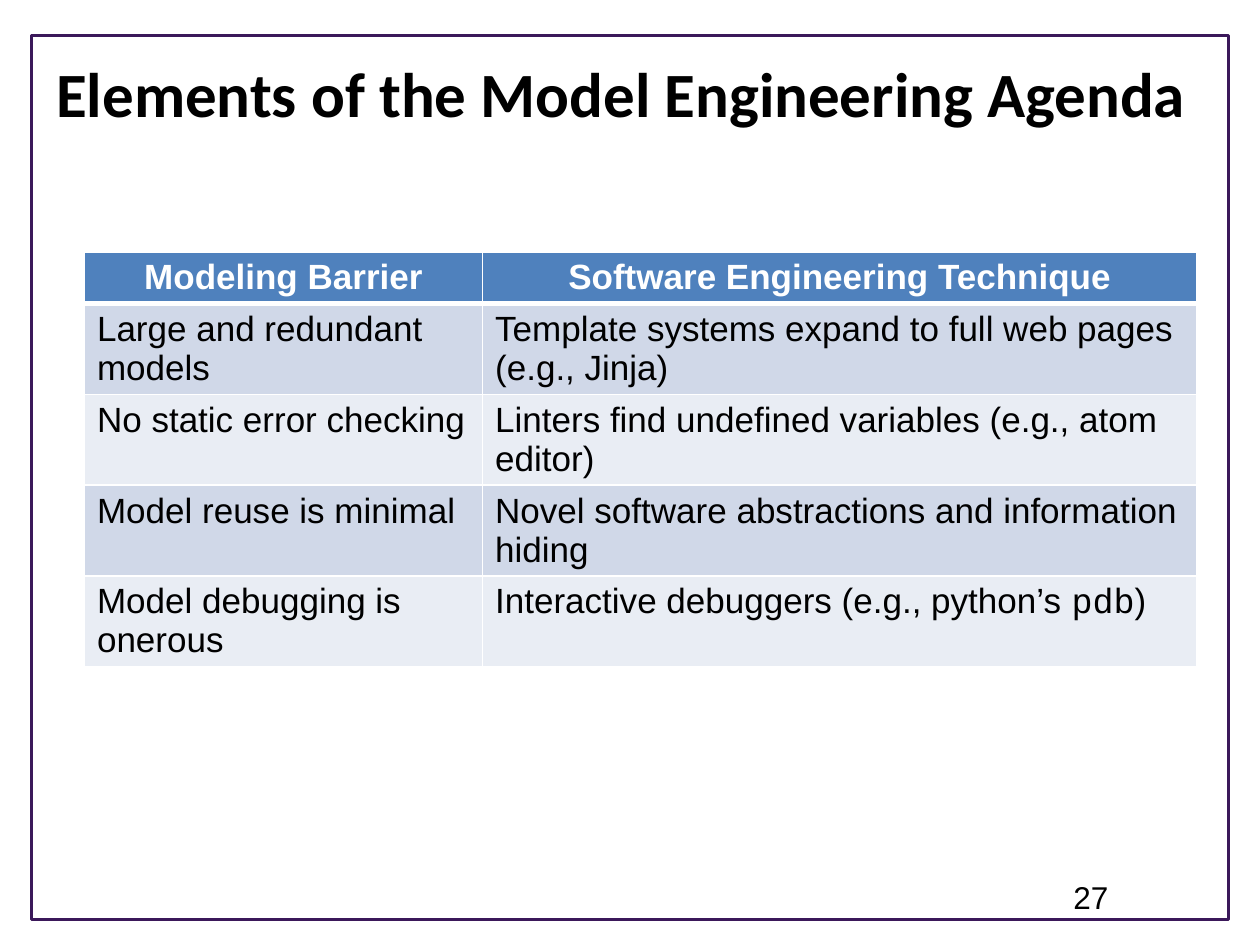
from lxml import etree
from pptx import Presentation
from pptx.dml.color import RGBColor
from pptx.enum.shapes import MSO_SHAPE
from pptx.enum.text import MSO_ANCHOR, PP_ALIGN
from pptx.oxml.ns import qn
from pptx.util import Inches, Pt

RECT = MSO_SHAPE.RECTANGLE
TOP = MSO_ANCHOR.TOP
LEFT, CENTER = PP_ALIGN.LEFT, PP_ALIGN.CENTER

COLORS = {
    "frame": "3B185A",
    "text": "000000",
    "white": "FFFFFF",
    "header": "4F81BD",
    "band_dark": "D0D8E8",
    "band_light": "E9EDF4",
}


def add_run(p, text, size=20, font="Arial", color="text", bold=False):
    r = p.add_run()
    r.text = text
    r.font.size = Pt(size)
    r.font.name = font
    r.font.bold = bold
    r.font.color.rgb = RGBColor.from_string(COLORS[color])


def set_border(cell, side, width):
    tc_pr = cell._tc.get_or_add_tcPr()
    ln = etree.SubElement(tc_pr, qn(f"a:ln{side}"), w=str(Pt(width)))
    fill = etree.SubElement(ln, qn("a:solidFill"))
    etree.SubElement(fill, qn("a:srgbClr"), val=COLORS["white"])


prs = Presentation()
prs.slide_width, prs.slide_height = Inches(10), Inches(7.5)
s = prs.slides.add_slide(prs.slide_layouts[5])

# Frame
sp = s.shapes.add_shape(RECT, Inches(0.25), Inches(0.28), Inches(9.5), Inches(7.02))
sp.shadow.inherit = False
sp.fill.background()
sp.line.color.rgb = RGBColor.from_string(COLORS["frame"])
sp.line.width = Pt(1.75)

# Title
title = s.shapes.title
title.left, title.top = Inches(0.2), Inches(0.38)
title.width, title.height = Inches(9.46), Inches(0.92)
tf = title.text_frame
tf.vertical_anchor = TOP
p = tf.paragraphs[0]
p.alignment = CENTER
add_run(p, "Elements of the Model Engineering Agenda", size=36, font="Calibri", bold=True)

# Table: each cell is a list of (text, font) runs
rows = [
    ("Modeling Barrier", "Software Engineering Technique"),
    ("Large and redundant models",
     "Template systems expand to full web pages (e.g., Jinja)"),
    ("No static error checking",
     "Linters find undefined variables (e.g., atom editor)"),
    ("Model reuse is minimal",
     "Novel software abstractions and information hiding"),
    ("Model debugging is onerous",
     [("Interactive debuggers (e.g., python’s ", "Arial"),
      ("pdb", "Courier New"), (")", "Arial")]),
]
table = s.shapes.add_table(len(rows), 2, Inches(0.67), Inches(2),
                           Inches(8.83), Inches(3.29)).table
for col, width in zip(table.columns, (3.16, 5.67)):
    col.width = Inches(width)

for i, row in enumerate(rows):
    header = i == 0
    table.rows[i].height = Inches(0.41 if header else 0.72)
    band = "header" if header else "band_dark" if i % 2 else "band_light"
    for j, content in enumerate(row):
        cell = table.cell(i, j)
        for side in "LRTB":
            thick = (header and side == "B") or (i == 1 and side == "T")
            set_border(cell, side, 3 if thick else 1)
        cell.fill.solid()
        cell.fill.fore_color.rgb = RGBColor.from_string(COLORS[band])
        p = cell.text_frame.paragraphs[0]
        p.alignment = CENTER if header else LEFT
        runs = [(content, "Arial")] if isinstance(content, str) else content
        for text, font in runs:
            add_run(p, text, font=font, bold=header,
                    color="white" if header else "text")

# Slide number
tf = s.shapes.add_textbox(Inches(8.42), Inches(6.92), Inches(0.58), Inches(0.4)).text_frame
tf.word_wrap = True
add_run(tf.paragraphs[0], "27", size=18)

prs.save("out.pptx")
